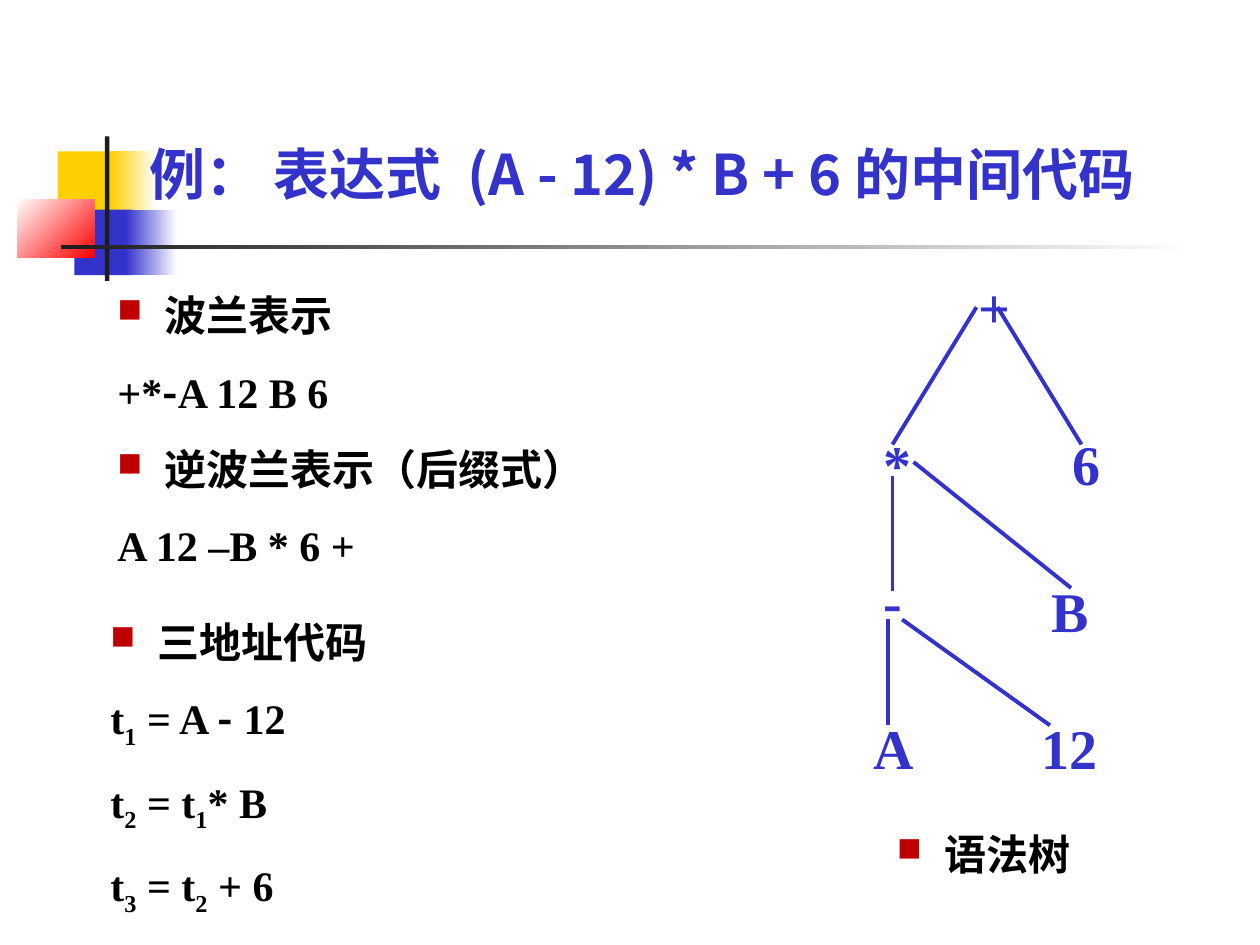
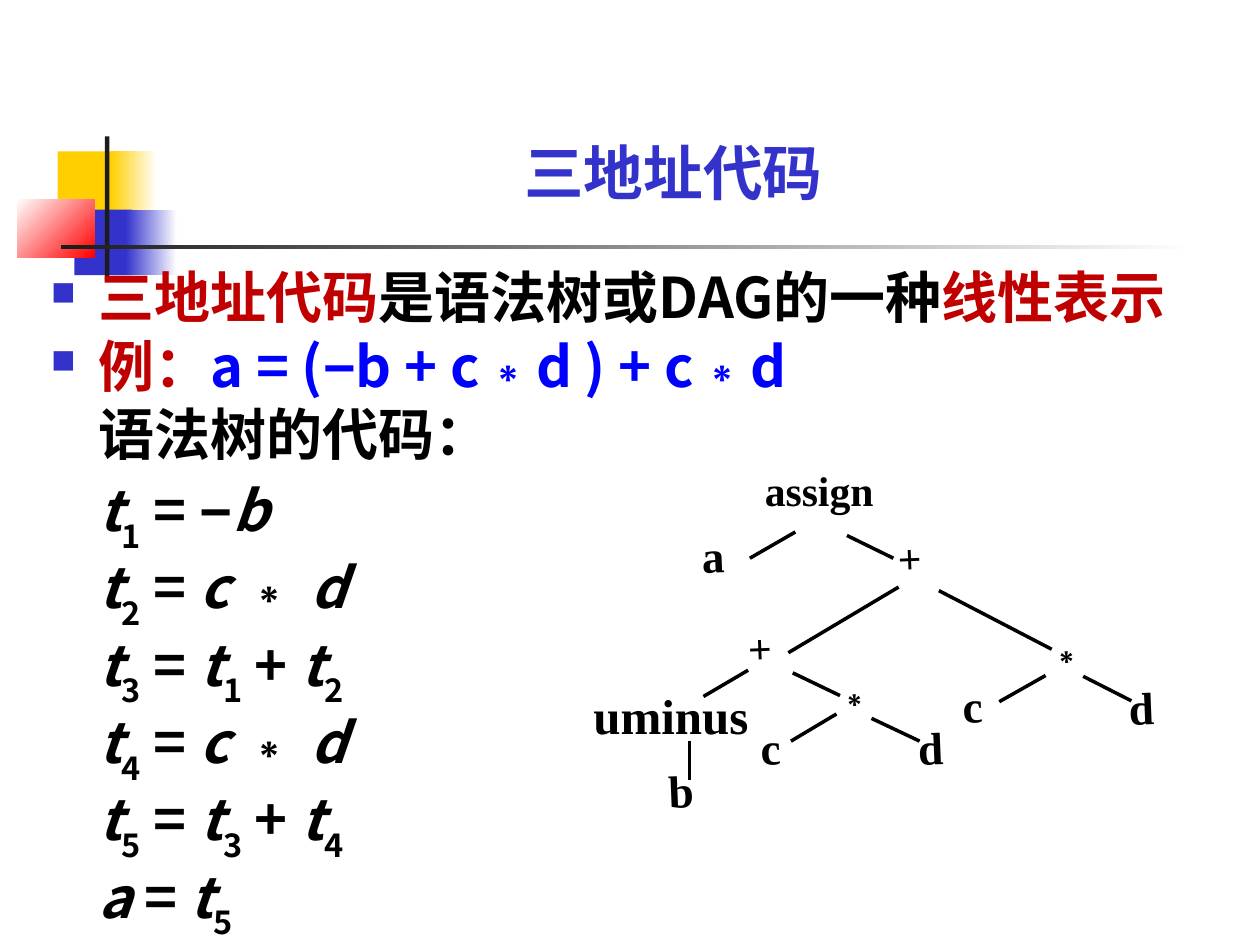
import itertools

import lxml.etree
import pptx
import pptx.dml.color
import pptx.enum.dml
import pptx.enum.shapes
import pptx.enum.text
import pptx.oxml.ns
import pptx.util

Pt = pptx.util.Pt
ALIGN = pptx.enum.text.PP_ALIGN
ANCHOR = pptx.enum.text.MSO_ANCHOR
COLORS = {
    "blue": "3333CC", "yellow": "FFCF01", "red": "FF0000", "white": "FFFFFF",
    "ink": "1C1C1C", "black": "000000", "crimson": "C00000", "formula": "0000FF",
}
SERIF, SANS, CJK, CJK_SC = "Times New Roman", "Arial", "Noto Sans CJK JP", "Noto Sans CJK SC"
SYMBOL_FONTS = {"-": CJK_SC, "−": SANS, "∗": SANS}
INDENT = 27


def rgb(name):
    return pptx.dml.color.RGBColor.from_string(COLORS[name])


def add_xml(parent, tag, **attributes):
    return lxml.etree.SubElement(parent, pptx.oxml.ns.qn(tag), attributes)


def set_all(target, formats):
    for name, value in formats.items():
        setattr(target, name, value)


def add_span(para, text, size, font=SERIF, color="black", italic=False, baseline=0):
    span = para.add_run()
    span.text = text
    set_all(span.font, {"size": Pt(size), "name": font, "bold": True, "italic": italic})
    span.font.color.rgb = rgb(color)
    properties = span._r.get_or_add_rPr()
    add_xml(properties, "a:ea", typeface=CJK_SC if font == SERIF else font)
    if baseline:
        properties.set("baseline", str(baseline * 1000))


def add_formula(para, formula, size, font=SERIF, color="black", drop=-25, italic_letters=False):
    """Write a formula; the character after each underscore becomes a subscript."""
    def kind(char):
        return SYMBOL_FONTS.get(char, font), italic_letters and char.isalpha()

    for index, piece in enumerate(formula.split("_")):
        if index:
            add_span(para, piece[0], size, font, color, baseline=drop)
            piece = piece[1:]
        for (face, italic), chars in itertools.groupby(piece, kind):
            add_span(para, "".join(chars), size, face, color, italic)


def format_frame(frame, margins=(7.2, 3.6), anchor=ANCHOR.TOP):
    side, end = margins
    set_all(frame, {
        "word_wrap": True, "auto_size": pptx.enum.text.MSO_AUTO_SIZE.NONE,
        "vertical_anchor": anchor, "margin_left": Pt(side), "margin_right": Pt(side),
        "margin_top": Pt(end), "margin_bottom": Pt(end),
    })
    return frame


def add_text_box(page, box, margins=(7.2, 3.6)):
    shape = page.shapes.add_textbox(*map(Pt, box))
    format_frame(shape.text_frame, margins)
    return shape


def add_para(frame, before=0, line=1.0, align=ALIGN.LEFT, margin=0, bullet=None):
    """Return a new paragraph; bullet is a (colour, percent) pair."""
    first = frame.paragraphs[0]
    para = frame.add_paragraph() if first.runs else first
    set_all(para, {"space_before": Pt(before), "line_spacing": line, "alignment": align})
    properties = para._p.get_or_add_pPr()
    properties.set("marL", str(Pt(margin)))
    properties.set("indent", str(Pt(-margin if bullet else 0)))
    if bullet:
        color, percent = bullet
        add_xml(add_xml(properties, "a:buClr"), "a:srgbClr", val=COLORS[color])
        add_xml(properties, "a:buSzPct", val=str(percent * 1000))
        add_xml(properties, "a:buChar", char="■")
    return para


def add_band(page, box, colors, angle=0):
    band = page.shapes.add_shape(pptx.enum.shapes.MSO_SHAPE.RECTANGLE, *map(Pt, box))
    band.shadow.inherit = False
    band.line.fill.background()
    if len(colors) == 1:
        band.fill.solid()
        band.fill.fore_color.rgb = rgb(colors[0])
    else:
        band.fill.gradient()
        band.fill.gradient_angle = angle
        for position, (stop, color) in enumerate(zip(band.fill.gradient_stops, colors)):
            stop.position = position
            stop.color.rgb = rgb(color)
    return band


def decorate_layout(layout, page):
    """Build the corner squares and title rule, and keep them on the layout."""
    for holder in list(layout.placeholders)[1:]:
        holder.element.getparent().remove(holder.element)
    bands = [
        ((33, 86.5, 34.5, 37.5), ["yellow"]),
        ((63.5, 86.5, 26, 37.5), ["yellow", "white"]),
        ((42.5, 119.75, 33, 37.5), ["blue"]),
        ((72, 119.75, 29, 37.5), ["blue", "white"]),
        ((10, 113.75, 44, 33.5), ["white", "red"], 315),
        ((60, 78, 2.5, 82.5), ["ink"]),
        ((35, 140, 648, 2.5), ["ink", "white"]),
    ]
    for band in bands:
        layout.shapes.element.append(add_band(page, *band).element)


def write_title(page, box, text, size, align, line, anchor):
    title = page.shapes.title
    set_all(title, dict(zip(("left", "top", "width", "height"), map(Pt, box))))
    frame = format_frame(title.text_frame, anchor=anchor)
    add_span(add_para(frame, line=line, align=align), text, size, CJK, "blue")


def add_notation_list(page, box, items):
    """List (kind, text) items: a heading has a bullet, a formula has none."""
    frame = add_text_box(page, box).text_frame
    for kind, text in items:
        if kind == "heading":
            para = add_para(frame, 15, margin=INDENT, bullet=("crimson", 80))
            add_span(para, text, 24)
        else:
            add_formula(add_para(frame, 15), text, 24)


def add_edges(page, origin, edges, color, width):
    left, top = origin
    for x1, y1, x2, y2 in edges:
        edge = page.shapes.add_connector(
            pptx.enum.shapes.MSO_CONNECTOR.STRAIGHT,
            Pt(left + x1), Pt(top + y1), Pt(left + x2), Pt(top + y2))
        edge.line.color.rgb = rgb(color)
        edge.line.width = Pt(width)
        add_xml(edge.element.spPr, "a:effectLst")


def add_expression_tree(page, origin):
    left, top = origin
    nodes = [("+", 60, 0), ("*", 6, 90), ("6", 114, 90), ("-", 6, 168),
             ("B", 102, 174), ("A", 0, 252), ("12", 96, 252)]
    for label, x, y in nodes:
        box = add_text_box(page, (left + x, top + y, 60 if label in "+12" else 48, 46))
        add_span(add_para(box.text_frame), label, 32, color="blue")
    add_edges(page, origin, [
        (66, 23.5, 18, 102), (78, 23.5, 126, 102),
        (18, 120, 18, 185.5), (30, 112, 120, 184),
        (15.5, 202, 15.5, 262), (23.5, 202, 108, 262.5),
    ], "blue", 2.25)
    add_notation_list(page, (left + 13.5, top + 318, 136, 36), [("heading", "语法树")])


def add_assignment_tree(page, origin):
    left, top = origin
    nodes = [
        ("a", 62, 36), ("+", 174, 38.5), ("+", 88.5, 90), ("∗", 258.5, 92.5),
        ("∗", 137.5, 117), ("b", 43, 170), ("c", 95.5, 145.5), ("d", 185.5, 145.5),
        ("c", 211, 121.5), ("d", 306, 123), ("assign", 98, 0), ("uminus", 0, 123),
    ]
    sizes = {"assign": (23.8, 100, 31), "uminus": (28, 126, 37),
             "+": (23.8, 40, 31), "∗": (23.8, 40, 31)}
    for label, x, y in nodes:
        size, width, height = sizes.get(label, (25.9, 47.5, 31))
        box = add_text_box(page, (left + x, top + y, width, height), (7.2, 0.7))
        box.rotation = 0 if label in ("assign", "uminus") else -2.3
        line = 1.0 if label == "uminus" else 0.9
        para = add_para(box.text_frame, line=line, align=ALIGN.JUSTIFY)
        add_span(para, label, size, SYMBOL_FONTS.get(label, SERIF))
    add_edges(page, origin, [
        (122.5, 36, 96.5, 51), (152, 38, 178.5, 51),
        (181.5, 67.5, 118.5, 105), (204.5, 69.5, 269, 103),
        (95.5, 115, 70, 130), (121, 116.5, 148, 129.5),
        (265.5, 118, 239, 133), (287, 118.5, 314.5, 132.5),
        (146, 140, 120, 155.5), (166, 142.5, 193.5, 155.5),
        (62, 155.5, 62, 177.5),
    ], "black", 2)


def add_code_text(page, box):
    frame = add_text_box(page, box).text_frame
    size, bullet = 32, ("blue", 60)
    para = add_para(frame, 8, 0.9, margin=INDENT, bullet=bullet)
    for text, color in (("三地址代码", "crimson"), ("是语法树或DAG的一种", "black"),
                        ("线性表示", "crimson")):
        add_span(para, text, size, CJK, color)
    style = {"before": 8, "line": 0.8, "align": ALIGN.JUSTIFY, "margin": INDENT}
    para = add_para(frame, bullet=bullet, **style)
    add_span(para, "例：", size, CJK, "crimson")
    add_formula(para, "a = (−b + c∗d ) + c∗d", size, CJK, "formula")
    add_span(add_para(frame, **style), "语法树的代码：", size, CJK)
    for formula in ("t_1 = −b", "t_2 = c ∗ d", "t_3 = t_1 + t_2",
                    "t_4 = c ∗ d", "t_5 = t_3 + t_4", "a = t_5"):
        add_formula(add_para(frame, **style), formula, size, CJK,
                    drop=-30, italic_letters=True)


def fill_expression_page(page):
    write_title(page, (78, 72, 624, 60), "例： 表达式  (A - 12) * B + 6 的中间代码",
                32, ALIGN.LEFT, 1.1, ANCHOR.TOP)
    add_notation_list(page, (56, 348.5, 196, 179), [
        ("heading", "三地址代码"), ("formula", "t_1 = A - 12"),
        ("formula", "t_2 = t_1* B"), ("formula", "t_3 = t_2 + 6"),
    ])
    add_notation_list(page, (60, 162, 346, 168), [
        ("heading", "波兰表示"), ("formula", "+*-A 12 B 6"),
        ("heading", "逆波兰表示（后缀式）"), ("formula", "A 12 –B * 6 +"),
    ])
    add_expression_tree(page, (492, 152))


def fill_code_page(page):
    write_title(page, (122, 71, 525.5, 51), "三地址代码", 34.1, ALIGN.CENTER, 0.8, ANCHOR.BOTTOM)
    add_code_text(page, (22, 151, 675, 397))
    add_assignment_tree(page, (332, 268))


def main():
    deck = pptx.Presentation()
    deck.slide_width, deck.slide_height = Pt(720), Pt(540)
    layout = deck.slide_layouts[5]
    pages = [deck.slides.add_slide(layout) for _ in range(2)]
    decorate_layout(layout, pages[0])
    fill_expression_page(pages[0])
    fill_code_page(pages[1])
    deck.save("out.pptx")


if __name__ == "__main__":
    main()
